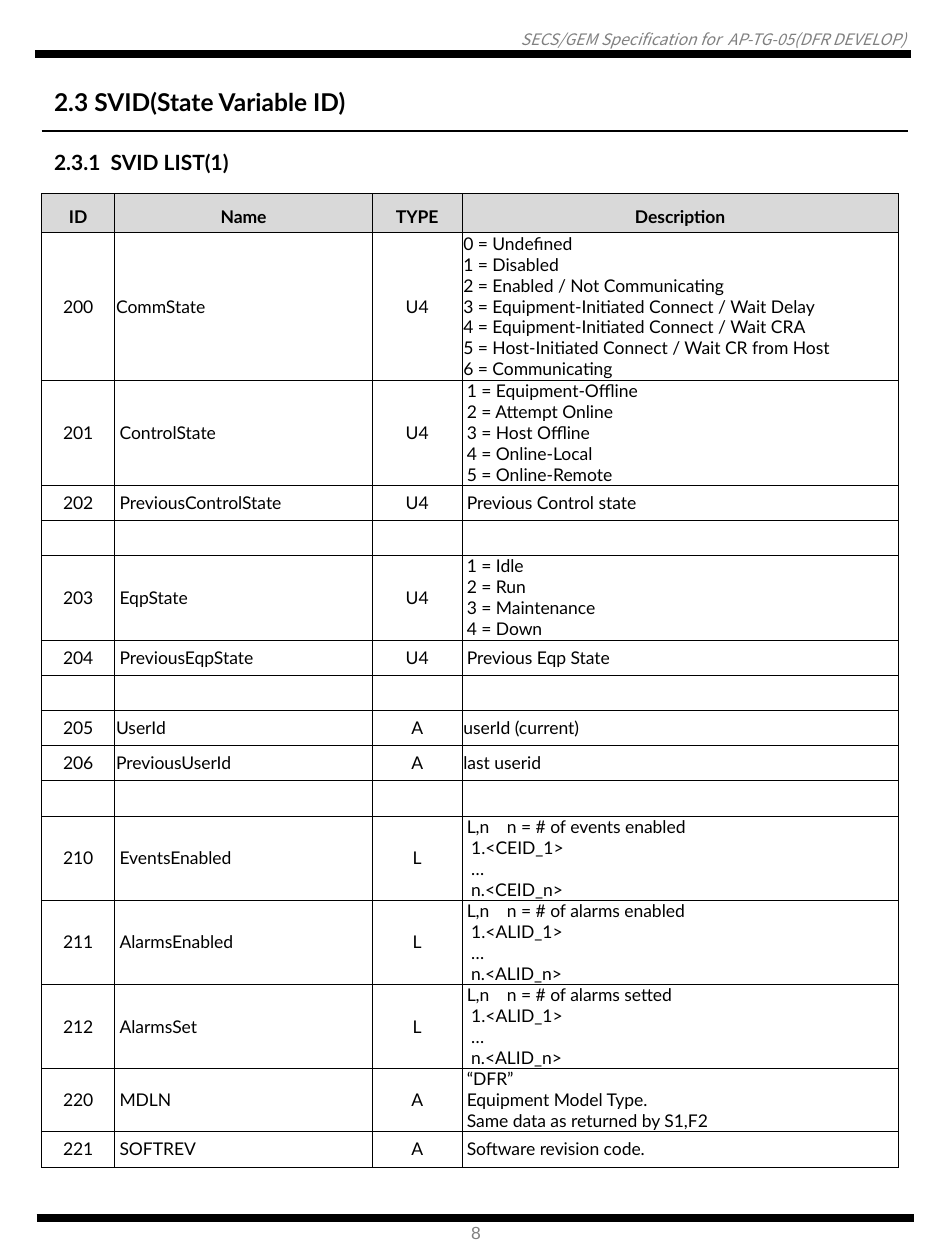
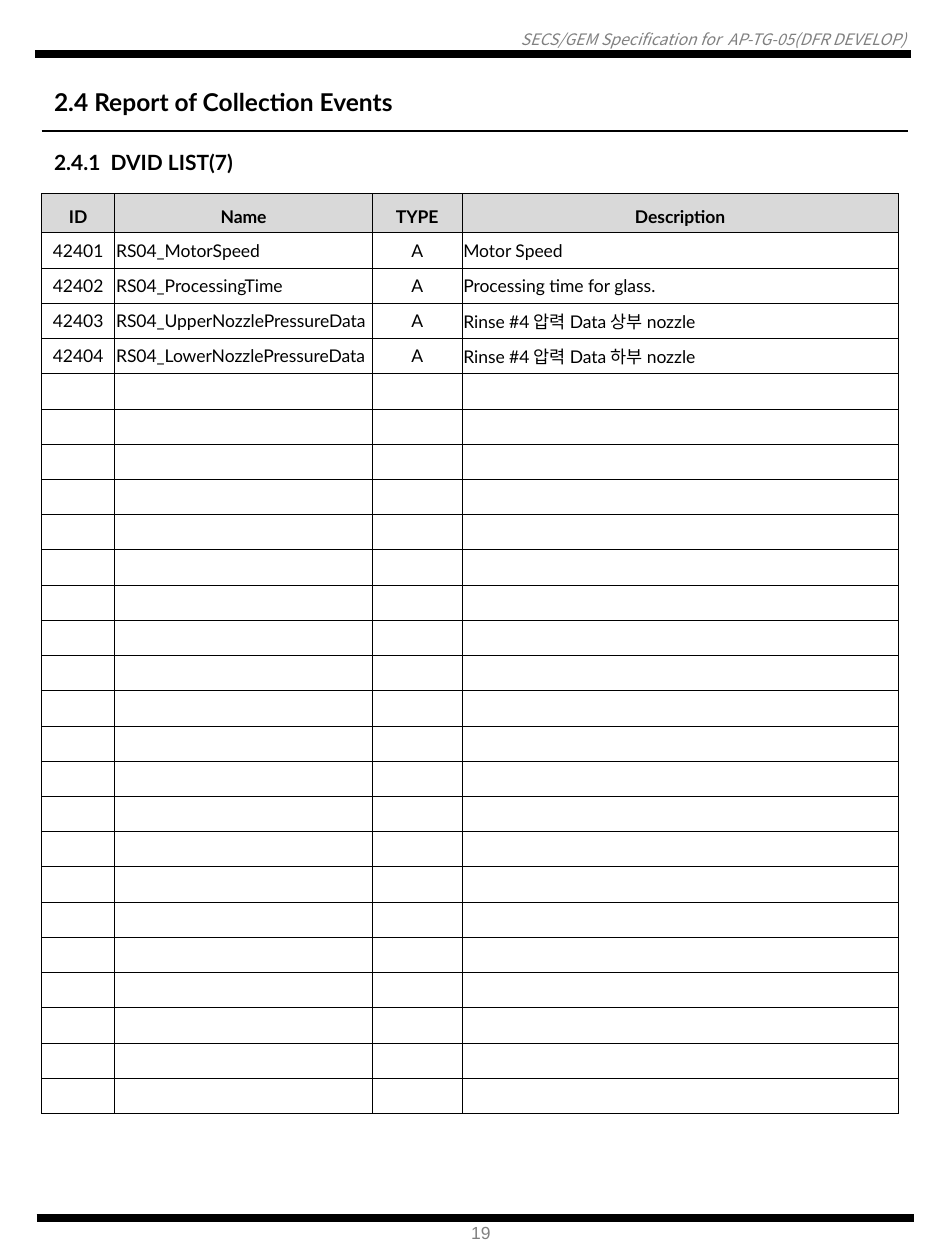
from lxml.etree import SubElement
from pptx import Presentation
from pptx.dml.color import RGBColor
from pptx.enum.shapes import MSO_CONNECTOR
from pptx.enum.text import MSO_ANCHOR, PP_ALIGN
from pptx.oxml import parse_xml
from pptx.oxml.ns import nsdecls, qn
from pptx.util import Cm, Pt

BLACK = RGBColor(0x00, 0x00, 0x00)
GRAY = RGBColor(0x80, 0x80, 0x80)
HEAD_FILL = RGBColor(0xD9, 0xD9, 0xD9)

LEFT = 0.84
ROW_H = 0.71
HEAD_H = 0.79
LINE_H = 0.42
TIGHT = 0.03
PADDED = 0.1
COL_WIDTHS = (1.47, 5.2, 1.8, 8.8)
HEADINGS = ("ID", "Name", "TYPE", "Description")
CENTERED = (0, 2)
EMPTY = ("", "", "", "", PADDED)

SVID_ROWS = [
    ("200", "CommState", "U4",
     "0 = Undefined\v1 = Disabled\v2 = Enabled / Not Communicating\v"
     "3 = Equipment-Initiated Connect / Wait Delay\v"
     "4 = Equipment-Initiated Connect / Wait CRA\v"
     "5 = Host-Initiated Connect / Wait CR from Host\v6 = Communicating", TIGHT),
    ("201", "ControlState", "U4",
     "1 = Equipment-Offline\v2 = Attempt Online\v3 = Host Offline\v"
     "4 = Online-Local\v5 = Online-Remote", PADDED),
    ("202", "PreviousControlState", "U4", "Previous Control state", PADDED),
    EMPTY,
    ("203", "EqpState", "U4", "1 = Idle\n2 = Run\n3 = Maintenance\n4 = Down", PADDED),
    ("204", "PreviousEqpState", "U4", "Previous Eqp State", PADDED),
    EMPTY,
    ("205", "UserId", "A", "userId (current)", TIGHT),
    ("206", "PreviousUserId", "A", "last userid", TIGHT),
    EMPTY,
    ("210", "EventsEnabled", "L",
     "L,n\tn = # of events enabled\v 1.<CEID_1>\v …\v n.<CEID_n>", PADDED),
    ("211", "AlarmsEnabled", "L",
     "L,n\tn = # of alarms enabled\v 1.<ALID_1>\v …\v n.<ALID_n>", PADDED),
    ("212", "AlarmsSet", "L",
     "L,n\tn = # of alarms setted\v 1.<ALID_1>\v …\v n.<ALID_n>", PADDED),
    ("220", "MDLN", "A",
     "“DFR”\nEquipment Model Type.\vSame data as returned by S1,F2", PADDED),
    ("221", "SOFTREV", "A", "Software revision code.", PADDED),
]

DVID_ROWS = [
    ("42401", "RS04_MotorSpeed", "A", "Motor Speed", TIGHT),
    ("42402", "RS04_ProcessingTime", "A", "Processing time for glass.", TIGHT),
    ("42403", "RS04_UpperNozzlePressureData", "A", "Rinse #4 압력 Data 상부 nozzle", TIGHT),
    ("42404", "RS04_LowerNozzlePressureData", "A", "Rinse #4 압력 Data 하부 nozzle", TIGHT),
] + [EMPTY] * 21


class SpecDeck:
    """Holds the document style and the slide being built."""

    def __init__(self):
        self.prs = Presentation()
        self.prs.slide_width, self.prs.slide_height = Cm(19.05), Cm(25.4)
        self.s = None

    def page(self, number, title, subtitle, rows):
        self.s = self.prs.slides.add_slide(self.prs.slide_layouts[6])
        self.text("SECS/GEM Specification for  AP-TG-05(DFR DEVELOP)", 0.13, 0.61, 18.13, 0.38,
                  "Noto Sans CJK KR", 9, GRAY, italic=True, align=PP_ALIGN.RIGHT, inset=0)
        self.line(0.71, 18.36, 1.09, 4.75)
        self.line(0.74, 18.42, 24.56, 4.75)
        self.text(number, 9.25, 24.51, 0.94, 0.69, "Arial", 10, GRAY)
        self.text(title, LEFT, 1.63, 9, 0.86, "Lato", 14, BLACK, bold=True)
        self.line(LEFT, 18.31, 2.64, 0.75)
        self.text(subtitle, LEFT, 2.9, 6, 0.76, "Lato", 12, BLACK, bold=True)
        self.table(rows)

    def text(self, text, x, y, w, h, font, size, color, bold=False, italic=False,
             align=PP_ALIGN.LEFT, inset=0.25):
        tf = self.s.shapes.add_textbox(Cm(x), Cm(y), Cm(w), Cm(h)).text_frame
        tf.word_wrap = True
        tf.margin_left = tf.margin_right = Cm(inset)
        tf.margin_top = tf.margin_bottom = Cm(inset / 2)
        tf.text = text
        p = tf.paragraphs[0]
        p.alignment = align
        self.style(p, font, size, color, bold, italic)

    def style(self, p, font, size, color, bold=False, italic=False):
        for r in p.runs:
            r.font.name, r.font.size = font, Pt(size)
            r.font.bold, r.font.italic = bold, italic
            r.font.color.rgb = color

    def line(self, x1, x2, y, width):
        c = self.s.shapes.add_connector(MSO_CONNECTOR.STRAIGHT, Cm(x1), Cm(y), Cm(x2), Cm(y))
        c.line.color.rgb = BLACK
        c.line.width = Pt(width)
        SubElement(c._element.spPr, qn("a:effectLst"))

    def table(self, rows):
        heights = [HEAD_H] + [max(ROW_H, LINE_H * len(row[3].splitlines())) for row in rows]
        table = self.s.shapes.add_table(len(heights), len(COL_WIDTHS), Cm(LEFT), Cm(3.9),
                                        Cm(sum(COL_WIDTHS)), Cm(sum(heights))).table
        table.first_row = table.horz_banding = False
        for col, width in zip(table.columns, COL_WIDTHS):
            col.width = Cm(width)
        for row, height in zip(table.rows, heights):
            row.height = Cm(height)
        for j, heading in enumerate(HEADINGS):
            self.cell(table.cell(0, j), heading, True, 0, 0.1, HEAD_FILL)
        for i, (*values, side) in enumerate(rows, 1):
            for j, value in enumerate(values):
                self.cell(table.cell(i, j), value, j in CENTERED, side, 0)

    def cell(self, cell, text, centered, side, top, fill=None):
        cell.margin_left = cell.margin_right = Cm(side)
        cell.margin_top = cell.margin_bottom = Cm(top)
        cell.vertical_anchor = MSO_ANCHOR.MIDDLE
        if fill is None:
            cell.fill.background()
        else:
            cell.fill.solid()
            cell.fill.fore_color.rgb = fill
        self.borders(cell)
        cell.text_frame.text = text
        for p in cell.text_frame.paragraphs:
            p.alignment = PP_ALIGN.CENTER if centered else PP_ALIGN.LEFT
            if fill is not None:
                p.line_spacing = Pt(16)
            if "\t" in p.text:
                tabs = SubElement(p._p.get_or_add_pPr(), qn("a:tabLst"))
                SubElement(tabs, qn("a:tab"), pos=str(Cm(0.81)), algn="l")
            self.style(p, "Lato", 10, BLACK, bold=fill is not None)
            for br in p._p.findall(qn("a:br")):
                self.mark(br, "a:rPr")
            self.mark(p._p, "a:endParaRPr")

    def mark(self, parent, tag):
        props = SubElement(parent, qn(tag), sz="1000")
        SubElement(props, qn("a:latin"), typeface="Lato")

    def borders(self, cell):
        tcPr = cell._tc.get_or_add_tcPr()
        for i, edge in enumerate(("lnL", "lnR", "lnT", "lnB")):
            tcPr.insert(i, parse_xml(
                f'<a:{edge} {nsdecls("a")} w="{Pt(0.25)}"><a:solidFill>'
                f'<a:srgbClr val="{BLACK}"/></a:solidFill></a:{edge}>'))


def main():
    deck = SpecDeck()
    deck.page("8", "2.3 SVID(State Variable ID)", "2.3.1  SVID LIST(1)", SVID_ROWS)
    deck.page("19", "2.4 Report of Collection Events", "2.4.1  DVID LIST(7)", DVID_ROWS)
    deck.prs.save("out.pptx")


if __name__ == "__main__":
    main()
